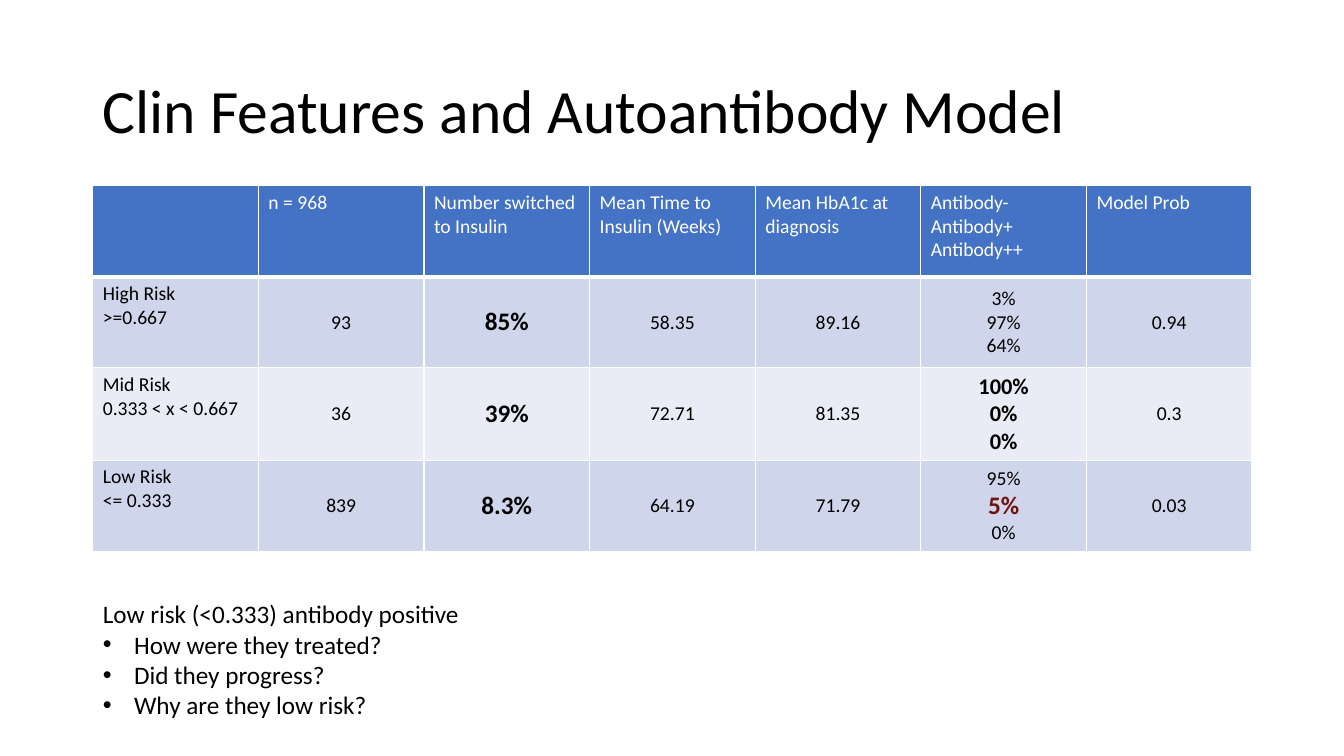
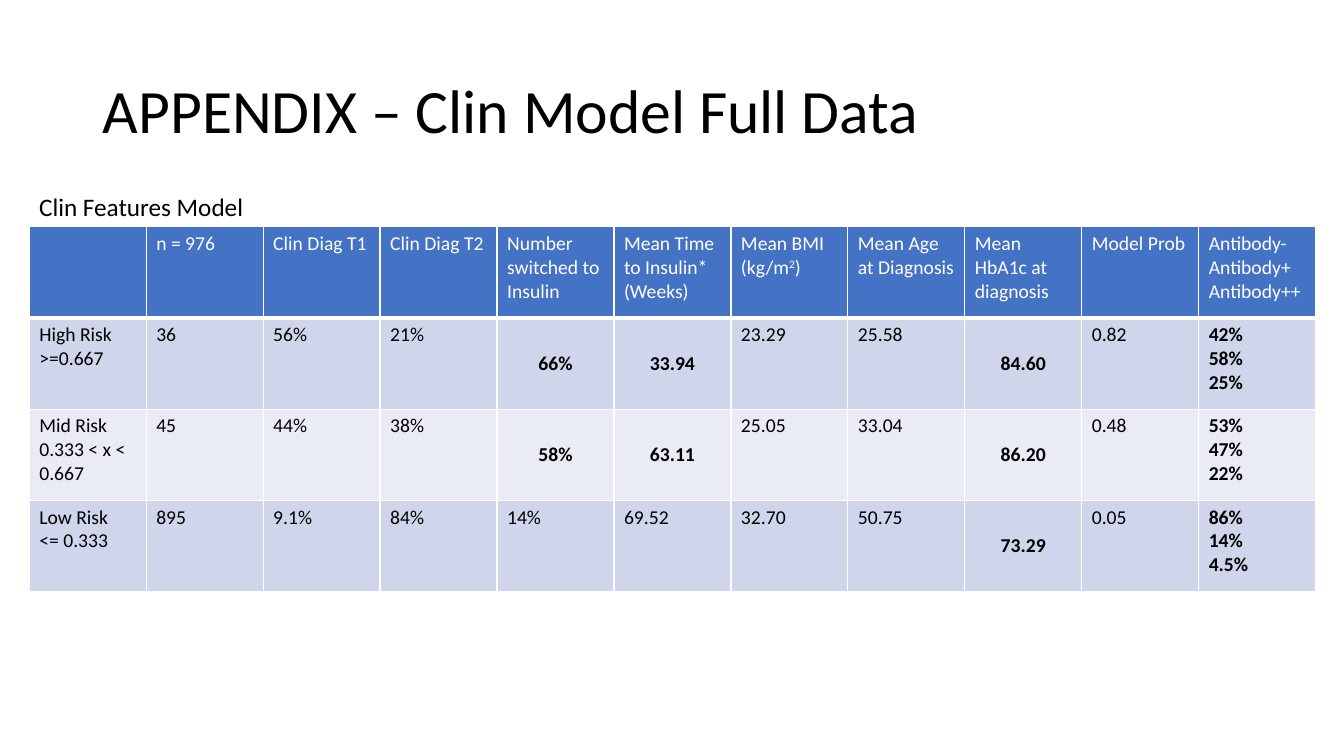
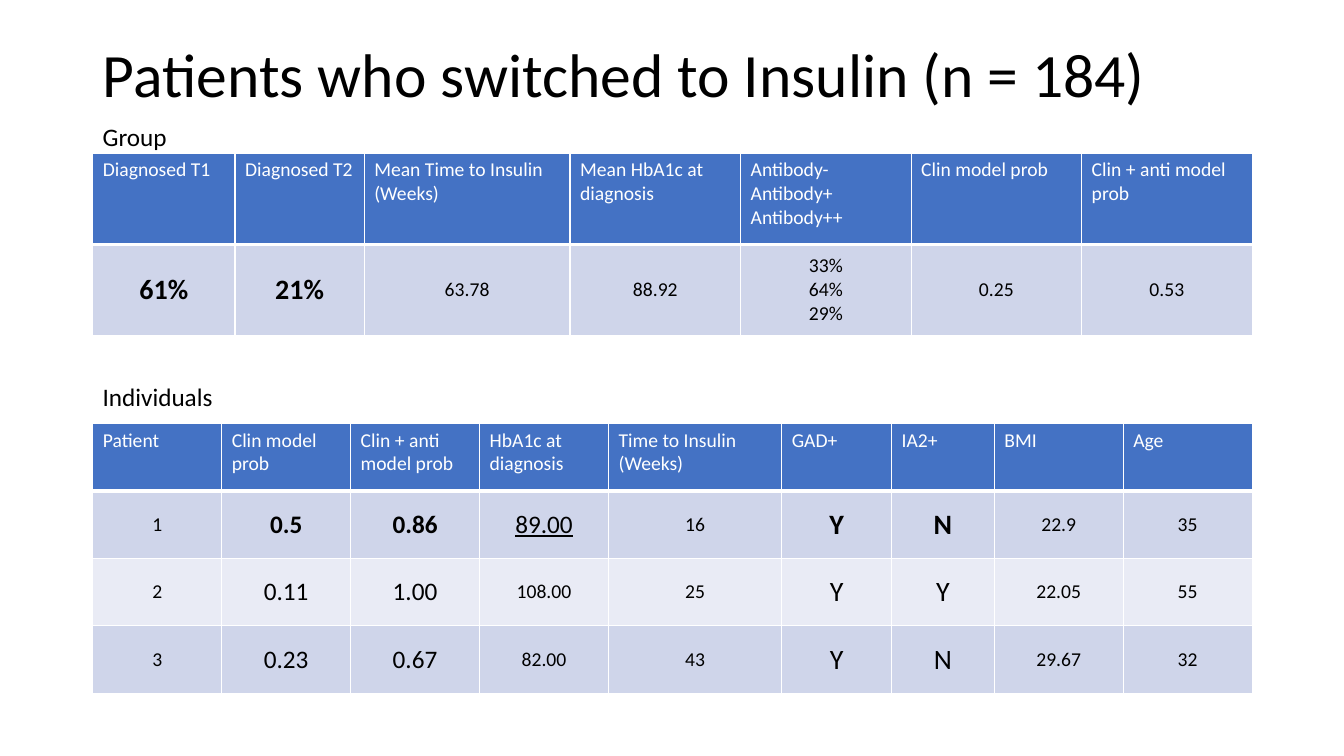
"""Build three slides of tables on diabetes risk models and insulin use."""
from lxml import etree
from pptx import Presentation
from pptx.dml.color import RGBColor
from pptx.enum.text import MSO_ANCHOR as Anchor, MSO_AUTO_SIZE as AutoSize, PP_ALIGN as Align
from pptx.oxml.ns import qn
from pptx.util import Inches, Pt

COLORS = {"header": "4472C4", "odd": "CFD5EA", "even": "E9EBF5",
          "white": "FFFFFF", "text": "000000", "alert": "6E1310"}
FONT = "Calibri"
LEFT, WIDTH = 0.92, 11.5
ANTIBODIES = "Antibody-\nAntibody+\nAntibody++"
HIGH, MID, LOW = "High Risk\n>=0.667", "Mid Risk\n0.333 < x < 0.667", "Low Risk\n<= 0.333"


def write(para, text, size, color="text", bold=False, underline=False):
    for index, piece in enumerate(text.split("^")):
        span = para.add_run()
        span.text = piece
        span.font.name = FONT
        span.font.size = Pt(size)
        span.font.bold = bold
        span.font.underline = underline
        span.font.color.rgb = RGBColor.from_string(COLORS[color])
        if index % 2:
            span.font._element.set("baseline", "30000")


def add_grid(page, place, rows, weights, centred, styles):
    left, top, width, height = place
    frame = page.shapes.add_table(len(rows), len(weights), *map(Inches, place))
    grid = frame.table
    for column, weight in zip(grid.columns, weights):
        column.width = Inches(width * weight / sum(weights))
    for r, values in enumerate(rows):
        grid.rows[r].height = Inches(height / len(rows))
        for c, value in enumerate(values):
            cell = grid.cell(r, c)
            props = cell._tc.get_or_add_tcPr()
            for side in "LRTB":
                points = 3 if r == 0 and side == "B" else 1
                line = etree.SubElement(props, qn("a:ln" + side), w=str(Pt(points)))
                fill = etree.SubElement(line, qn("a:solidFill"))
                etree.SubElement(fill, qn("a:srgbClr"), val=COLORS["white"])
            band = "header" if r == 0 else "odd" if r % 2 else "even"
            cell.fill.solid()
            cell.fill.fore_color.rgb = RGBColor.from_string(COLORS[band])
            if (r, c) in centred:
                cell.vertical_anchor = Anchor.MIDDLE
            for number, text in enumerate(value.split("\n") if value else []):
                paras = cell.text_frame
                para = paras.add_paragraph() if number else paras.paragraphs[0]
                para.alignment = Align.CENTER if (r, c) in centred else Align.LEFT
                style = {"size": 14, "color": "text" if r else "white"}
                style.update(styles.get((r, c), {}))
                style.update(styles.get((r, c, number), {}))
                write(para, text, **style)


deck = Presentation()
deck.slide_width, deck.slide_height = Inches(13.33), Inches(7.5)

pages = []
for heading, top, layout in [
    ("Clin Features and Autoantibody Model", 0.4, 1),
    ("APPENDIX – Clin Model Full Data", 0.4, 5),
    ("Patients who switched to Insulin (n = 184)", 0.04, 5),
]:
    page = deck.slides.add_slide(deck.slide_layouts[layout])
    title = page.shapes.title
    title.left, title.top = Inches(LEFT), Inches(top)
    title.width, title.height = Inches(WIDTH), Inches(1.45)
    title.text_frame.vertical_anchor = Anchor.MIDDLE
    title.text_frame.auto_size = AutoSize.NONE
    para = title.text_frame.paragraphs[0]
    para.alignment = Align.LEFT
    para.line_spacing = 0.9
    write(para, heading, 44)
    pages.append(page)
risk_page, appendix_page, insulin_page = pages

risk_rows = [
    ["", "n = 968", "Number switched to Insulin", "Mean Time to Insulin (Weeks)",
     "Mean HbA1c at diagnosis", ANTIBODIES, "Model Prob"],
    [HIGH, "93", "85%", "58.35", "89.16", "3%\n97%\n64%", "0.94"],
    [MID, "36", "39%", "72.71", "81.35", "100%\n0%\n0%", "0.3"],
    [LOW, "839", "8.3%", "64.19", "71.79", "95%\n5%\n0%", "0.03"],
]
risk_styles = {(r, 2): {"size": 18, "bold": True} for r in (1, 2, 3)}
risk_styles[2, 5] = {"size": 16, "bold": True}
risk_styles[3, 5, 1] = {"size": 18, "bold": True, "color": "alert"}
add_grid(risk_page, (LEFT, 1.84, WIDTH, 3.62), risk_rows, [1] * 7,
         {(r, c) for r in (1, 2, 3) for c in range(1, 7)}, risk_styles)

questions = risk_page.placeholders[1]
questions.left, questions.top = Inches(LEFT), Inches(5.89)
questions.width, questions.height = Inches(3.78), Inches(1.31)
questions.text_frame.auto_size = AutoSize.NONE
questions.text_frame.word_wrap = False
for number, text in enumerate(["Low risk (<0.333) antibody positive", "How were they treated?",
                               "Did they progress?", "Why are they low risk?"]):
    frame = questions.text_frame
    para = frame.add_paragraph() if number else frame.paragraphs[0]
    para.space_before = Pt(0)
    props = para._p.get_or_add_pPr()
    indent = Inches(0.31) if number else 0
    props.set("marL", str(indent))
    props.set("indent", str(-indent))
    if number:
        etree.SubElement(props, qn("a:buFont"), typeface="Arial")
        etree.SubElement(props, qn("a:buChar"), char="•")
    else:
        etree.SubElement(props, qn("a:buNone"))
    write(para, text, 18)

appendix_rows = [
    ["", "n = 976", "Clin Diag T1", "Clin Diag T2", "Number switched to Insulin",
     "Mean Time to Insulin* (Weeks)", "Mean BMI (kg/m^2^)", "Mean Age at Diagnosis",
     "Mean HbA1c at diagnosis", "Model Prob", ANTIBODIES],
    [HIGH, "36", "56%", "21%", "66%", "33.94", "23.29", "25.58", "84.60", "0.82",
     "42%\n58%\n25%"],
    [MID, "45", "44%", "38%", "58%", "63.11", "25.05", "33.04", "86.20", "0.48",
     "53%\n47%\n22%"],
    [LOW, "895", "9.1%", "84%", "14%", "69.52", "32.70", "50.75", "73.29", "0.05",
     "86%\n14%\n4.5%"],
]
key_cells = {(1, 4), (1, 5), (2, 4), (2, 5), (1, 8), (2, 8), (3, 8)}
bold_cells = key_cells | {(r, 10) for r in (1, 2, 3)}
add_grid(appendix_page, (0.29, 2.25, 12.76, 3.62), appendix_rows, [1] * 11,
         key_cells, {spot: {"bold": True} for spot in bold_cells})

group_rows = [
    ["Diagnosed T1", "Diagnosed T2", "Mean Time to Insulin (Weeks)",
     "Mean HbA1c at diagnosis", ANTIBODIES, "Clin model prob", "Clin + anti model prob"],
    ["61%", "21%", "63.78", "88.92", "33%\n64%\n29%", "0.25", "0.53"],
]
add_grid(insulin_page, (LEFT, 1.52, WIDTH, 1.81), group_rows,
         [1.41, 1.28, 2.04] + [1.69] * 4, {(1, c) for c in range(7)},
         {(1, c): {"size": 20, "bold": True} for c in (0, 1)})

patient_rows = [
    ["Patient", "Clin model prob", "Clin + anti model prob", "HbA1c at diagnosis",
     "Time to Insulin (Weeks)", "GAD+", "IA2+", "BMI", "Age"],
    ["1", "0.5", "0.86", "89.00", "16", "Y", "N", "22.9", "35"],
    ["2", "0.11", "1.00", "108.00", "25", "Y", "Y", "22.05", "55"],
    ["3", "0.23", "0.67", "82.00", "43", "Y", "N", "29.67", "32"],
]
patient_styles = {(r, c): {"size": size, "bold": r == 1} for r in (1, 2, 3)
                  for c, size in [(1, 18), (2, 18), (5, 20), (6, 20)]}
patient_styles[1, 3] = {"size": 18, "underline": True}
add_grid(insulin_page, (LEFT, 4.2, WIDTH, 2.68), patient_rows,
         [1.28] * 4 + [1.72, 1.09, 1.02, 1.28, 1.28],
         {(r, c) for r in (1, 2, 3) for c in range(9)}, patient_styles)

for page, text, left, top, width, wrap in [
    (appendix_page, "Clin Features Model", 0.29, 1.85, 6.67, True),
    (insulin_page, "Group", LEFT, 1.15, 0.84, False),
    (insulin_page, "Individuals", LEFT, 3.73, 1.3, False),
]:
    box = page.shapes.add_textbox(Inches(left), Inches(top), Inches(width), Inches(0.4))
    box.text_frame.word_wrap = wrap
    write(box.text_frame.paragraphs[0], text, 18)

deck.save("out.pptx")
